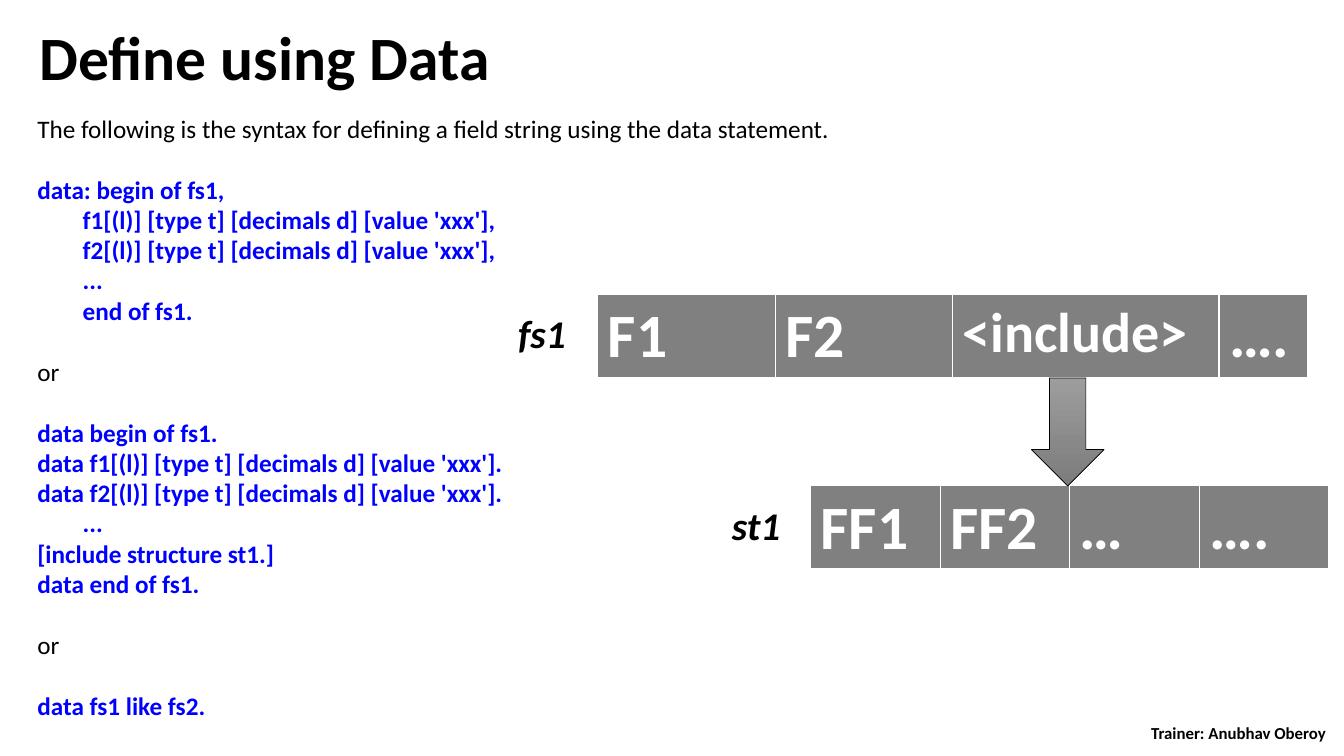
import pptx
import pptx.dml.color
import pptx.enum.shapes
import pptx.enum.text
import pptx.oxml
import pptx.oxml.ns
import pptx.util

Inches = pptx.util.Inches
Pt = pptx.util.Pt
ANCHOR = pptx.enum.text.MSO_ANCHOR
ALIGN = pptx.enum.text.PP_ALIGN

FONT = "Calibri"
COLORS = {
    "text": "000000",
    "code": "0000FF",
    "cell": "808080",
    "white": "FFFFFF",
    "arrow_top": "9D9D9D",
    "arrow_bottom": "7C7C7C",
}
INDENT = 0.45
BLANK_LINE = 22

SYNTAX_BLOCKS = [
    ("text", ["The following is the syntax for defining a field string using the data statement."]),
    ("code", [
        "data: begin of fs1,",
        "\tf1[(l)] [type t] [decimals d] [value 'xxx'],",
        "\tf2[(l)] [type t] [decimals d] [value 'xxx'],",
        "\t...",
        "\tend of fs1.",
    ]),
    ("text", ["or"]),
    ("code", [
        "data begin of fs1.",
        "data f1[(l)] [type t] [decimals d] [value 'xxx'].",
        "data f2[(l)] [type t] [decimals d] [value 'xxx'].",
        "\t...",
        "[include structure st1.]",
        "data end of fs1.",
    ]),
    ("text", ["or"]),
    ("code", ["data fs1 like fs2."]),
]


def rgb(name):
    return pptx.dml.color.RGBColor.from_string(COLORS[name])


def add_span(para, text, size, color="text", bold=True, italic=False):
    span = para.add_run()
    span.text = text
    span.font.name = FONT
    span.font.size = Pt(size)
    span.font.bold = bold
    span.font.italic = italic
    span.font.color.rgb = rgb(color)


def place(shape, left, top, width, height):
    shape.left, shape.top = Inches(left), Inches(top)
    shape.width, shape.height = Inches(width), Inches(height)


def fill_title(title, text):
    place(title, 0.29, 0.21, 12.35, 0.78)
    title.text_frame.auto_size = pptx.enum.text.MSO_AUTO_SIZE.NONE
    title.text_frame.vertical_anchor = ANCHOR.MIDDLE
    para = title.text_frame.paragraphs[0]
    para.alignment = ALIGN.LEFT
    para.line_spacing = 0.9
    add_span(para, text, 44)


def fill_syntax(body):
    place(body, 0.27, 1.07, 12.79, 6.16)
    frame = body.text_frame
    frame.auto_size = pptx.enum.text.MSO_AUTO_SIZE.NONE
    frame.vertical_anchor = ANCHOR.TOP
    para = None
    for kind, lines in SYNTAX_BLOCKS:
        for number, line in enumerate(lines):
            starts_block = para is not None and number == 0
            para = frame.paragraphs[0] if para is None else frame.add_paragraph()
            para.line_spacing = 1.0
            para.space_before = Pt(BLANK_LINE if starts_block else 0)
            para.space_after = Pt(0)
            properties = para._p.get_or_add_pPr()
            properties.set("marL", str(Inches(INDENT if line.startswith("\t") else 0)))
            properties.set("indent", "0")
            pptx.oxml.ns.qn("a:buNone")
            properties.append(pptx.oxml.parse_xml(
                f"<a:buNone {pptx.oxml.ns.nsdecls('a')}/>"))
            add_span(para, line.strip(), 18, kind, bold=kind == "code")


def add_label(page, text, left, top, width, height, size, italic=False, centered=False):
    box = page.shapes.add_textbox(Inches(left), Inches(top), Inches(width), Inches(height))
    frame = box.text_frame
    frame.word_wrap = True
    frame.vertical_anchor = ANCHOR.MIDDLE if centered else ANCHOR.TOP
    para = frame.paragraphs[0]
    para.alignment = ALIGN.CENTER if centered else ALIGN.LEFT
    add_span(para, text, size, italic=italic)


def add_borders(cell):
    properties = cell._tc.get_or_add_tcPr()
    for position, (side, points) in enumerate([("L", 1), ("R", 1), ("T", 1), ("B", 3)]):
        properties.insert(position, pptx.oxml.parse_xml(
            f"<a:ln{side} {pptx.oxml.ns.nsdecls('a')} w=\"{Pt(points)}\">"
            f"<a:solidFill><a:srgbClr val=\"{COLORS['white']}\"/></a:solidFill></a:ln{side}>"))


def add_structure(page, left, top, fields):
    width = sum(field_width for _, field_width, _ in fields)
    frame = page.shapes.add_table(
        1, len(fields), Inches(left), Inches(top), Inches(width), Inches(0.83))
    table = frame.table
    table.first_row = False
    table.horz_banding = False
    for column, (text, field_width, size) in enumerate(fields):
        table.columns[column].width = Inches(field_width)
        cell = table.cell(0, column)
        cell.fill.solid()
        cell.fill.fore_color.rgb = rgb("cell")
        add_borders(cell)
        add_span(cell.text_frame.paragraphs[0], text, size, "white")


def add_include_arrow(page):
    arrow = page.shapes.add_shape(
        pptx.enum.shapes.MSO_SHAPE.DOWN_ARROW,
        Inches(10.23), Inches(3.75), Inches(0.72), Inches(1.07))
    arrow.shadow.inherit = False
    arrow.fill.gradient()
    arrow.fill.gradient_angle = 270
    for stop, position, color in zip(
            arrow.fill.gradient_stops, (0, 1), ("arrow_top", "arrow_bottom")):
        stop.position = position
        stop.color.rgb = rgb(color)
    arrow.line.color.rgb = rgb("text")
    arrow.line.width = Pt(0.5)


def main():
    deck = pptx.Presentation()
    deck.slide_width = Inches(13.33)
    deck.slide_height = Inches(7.5)
    page = deck.slides.add_slide(deck.slide_layouts[1])
    fill_title(page.shapes.title, "Define using Data")
    add_label(page, "Trainer: Anubhav Oberoy", 11.07, 7.16, 2.43, 0.22, 12, centered=True)
    fill_syntax(page.placeholders[1])
    add_structure(page, 5.93, 2.92, [
        ("F1", 1.76, 44), ("F2", 1.76, 44), ("<include>", 2.64, 40), ("….", 0.88, 44)])
    add_structure(page, 8.04, 4.82, [
        (text, 1.285, 44) for text in ("FF1", "FF2", "…", "….")])
    add_include_arrow(page)
    add_label(page, "fs1", 5.04, 3.02, 0.89, 0.57, 28, italic=True)
    add_label(page, "st1", 7.16, 4.92, 0.89, 0.57, 28, italic=True)
    deck.save("out.pptx")


if __name__ == "__main__":
    main()
